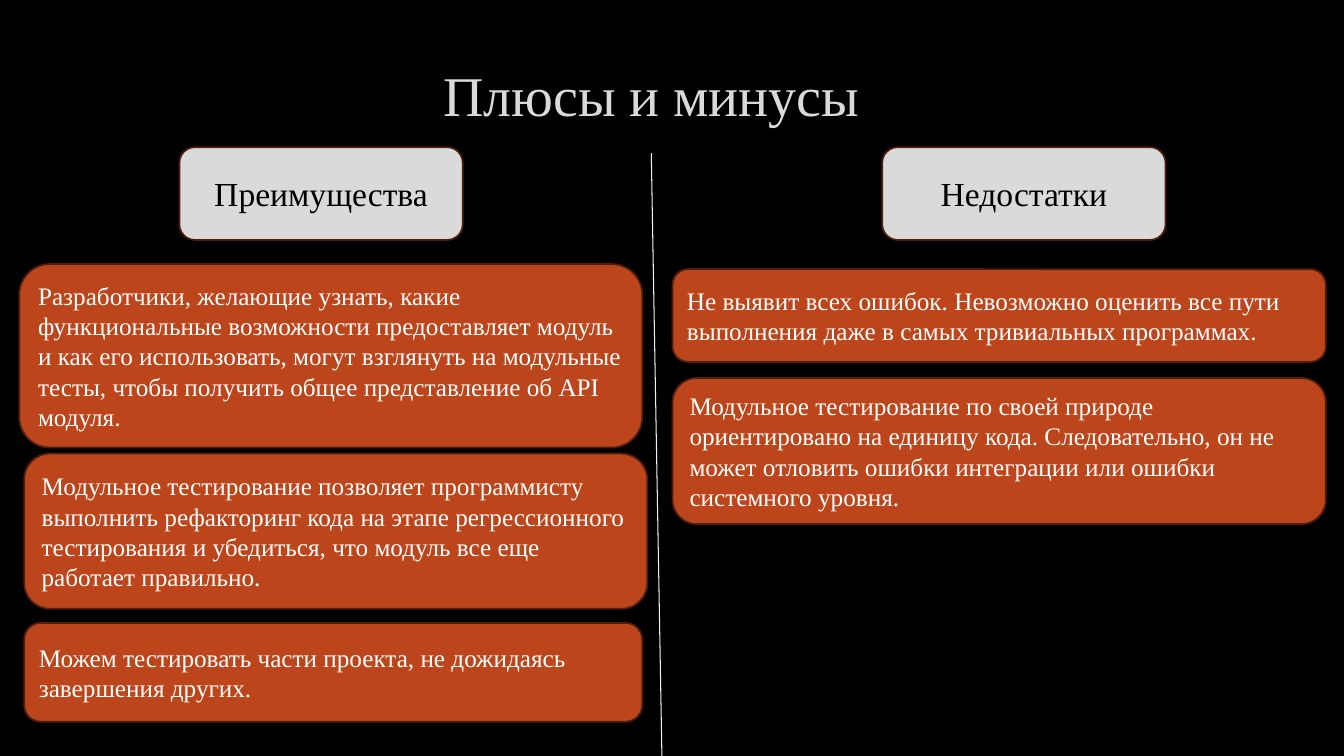
from pptx import Presentation, util as u
from pptx.dml.color import RGBColor
from pptx.enum import shapes, text
from pptx.oxml.ns import qn
from lxml import etree

BLACK = RGBColor(0x00, 0x00, 0x00)
WHITE = RGBColor(0xFF, 0xFF, 0xFF)
GREY = RGBColor(0xDA, 0xDA, 0xDA)
RUST = RGBColor(0xBC, 0x45, 0x1B)
BROWN = RGBColor(0x52, 0x1E, 0x0C)
PALE = RGBColor(0xF2, 0xF2, 0xF2)
FONT = "Times New Roman"
WIDTH, HEIGHT = u.Inches(13.33), u.Inches(7.5)

HEAD_TOP, HEAD_WIDTH, HEAD_HEIGHT = 19.47, 21.08, 12.27
HEADS = [(13.35, "Преимущества"), (65.64, "Недостатки")]
CARDS = [
    ((1.43, 34.93, 46.36, 24.27),
     "Разработчики, желающие узнать, какие функциональные возможности "
     "предоставляет модуль и как его использовать, могут взглянуть на "
     "модульные тесты, чтобы получить общее представление об API модуля."),
    ((1.8, 60, 46.36, 20.53),
     "Модульное тестирование позволяет программисту выполнить рефакторинг "
     "кода на этапе регрессионного тестирования и убедиться, что модуль "
     "все еще работает правильно."),
    ((1.8, 82.4, 45.99, 13.07),
     "Можем тестировать части проекта, не дожидаясь завершения других."),
    ((50.04, 35.6, 48.61, 12.27),
     "Не выявит всех ошибок. Невозможно оценить все пути выполнения даже "
     "в самых тривиальных программах."),
    ((50.04, 50, 48.61, 19.33),
     "Модульное тестирование по своей природе ориентировано на единицу "
     "кода. Следовательно, он не может отловить ошибки интеграции или "
     "ошибки системного уровня."),
]


def share(x, y):
    return int(WIDTH * x / 100), int(HEIGHT * y / 100)


def write(sp, words, size, color, align):
    tf = sp.text_frame
    tf.text = words
    tf.word_wrap = True
    tf.auto_size = text.MSO_AUTO_SIZE.NONE
    tf.vertical_anchor = text.MSO_ANCHOR.MIDDLE
    p = tf.paragraphs[0]
    p.alignment = align
    p.font.name = FONT
    p.font.size = u.Pt(size)
    p.font.color.rgb = color


def add_title(s, words):
    sp = s.shapes.title
    sp.left, sp.top = share(6, 5.33)
    sp.width, sp.height = share(84.92, 14.13)
    write(sp, words, 40, GREY, text.PP_ALIGN.CENTER)


def add_box(s, box, words, fill, size, color, align):
    x, y, w, h = box
    sp = s.shapes.add_shape(shapes.MSO_SHAPE.ROUNDED_RECTANGLE,
                            *share(x, y), *share(w, h))
    sp.shadow.inherit = False
    sp.fill.solid()
    sp.fill.fore_color.rgb = fill
    sp.line.color.rgb = BROWN
    sp.line.width = u.Pt(1.25)
    write(sp, words, size, color, align)


def add_divider(s, start, end):
    line = s.shapes.add_connector(shapes.MSO_CONNECTOR.STRAIGHT,
                                  *share(*start), *share(*end))
    line.line.color.rgb = PALE
    line.line.width = u.Pt(0.75)
    etree.SubElement(line._element.spPr, qn("a:effectLst"))


def main():
    prs = Presentation()
    prs.slide_width, prs.slide_height = WIDTH, HEIGHT
    s = prs.slides.add_slide(prs.slide_layouts[5])
    s.background.fill.solid()
    s.background.fill.fore_color.rgb = BLACK
    add_title(s, "Плюсы и минусы")
    for left, words in HEADS:
        add_box(s, (left, HEAD_TOP, HEAD_WIDTH, HEAD_HEIGHT), words,
                GREY, 24, BLACK, text.PP_ALIGN.CENTER)
    for box, words in CARDS:
        add_box(s, box, words, RUST, 18, WHITE, text.PP_ALIGN.LEFT)
    add_divider(s, (48.46, 20.27), (49.25, 100))
    prs.save("out.pptx")


if __name__ == "__main__":
    main()
